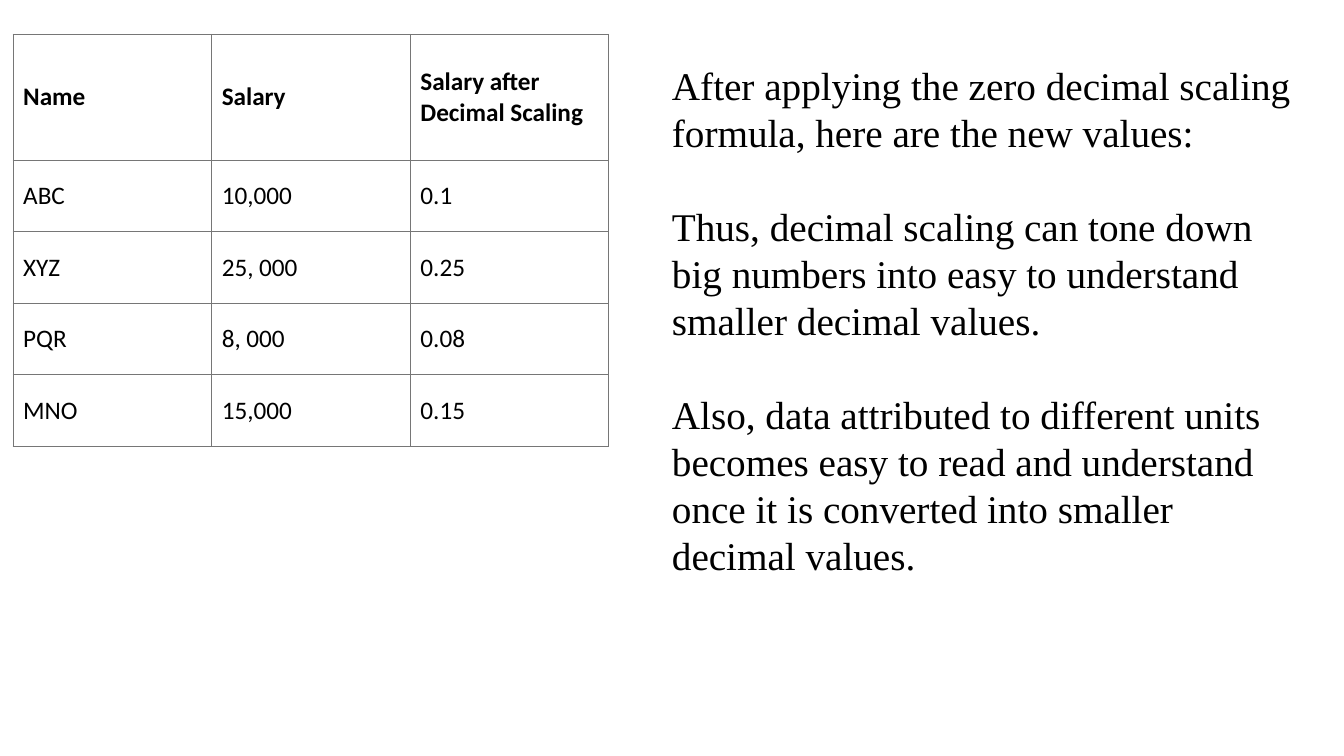
import pptx
import pptx.util
import pptx.dml.color
import pptx.enum.text
import pptx.oxml
import pptx.oxml.ns

ROWS = [
    ("Name", "Salary", "Salary after Decimal Scaling"),
    ("ABC", "10,000", "0.1"),
    ("XYZ", "25, 000", "0.25"),
    ("PQR", "8, 000", "0.08"),
    ("MNO", "15,000", "0.15"),
]
NOTES = [
    "After applying the zero decimal scaling formula, here are the new values:",
    "Thus, decimal scaling can tone down big numbers into easy to understand "
    "smaller decimal values.",
    "Also, data attributed to different units becomes easy to read and "
    "understand once it is converted into smaller decimal values.",
]
HUES = {"ink": "000000", "page": "FFFFFF", "rule": "767676"}
Inches, Pt = pptx.util.Inches, pptx.util.Pt
WIDE, HIGH = 13.33, 7.5
COL, HEAD, ROW = 1.97, 1.25, 0.71
FONTS = {
    "head": {"name": "Calibri", "size": Pt(18), "bold": True},
    "body": {"name": "Calibri", "size": Pt(18), "bold": False},
    "note": {"name": "Times New Roman", "size": Pt(28)},
}
LINE = Pt(33.6)


def tint(hue):
    return pptx.dml.color.RGBColor.from_string(HUES[hue])


def style(font, kind):
    for key, value in FONTS[kind].items():
        setattr(font, key, value)
    font.color.rgb = tint("ink")


def frame(cell):
    props = cell._tc.get_or_add_tcPr()
    for side in "LRTB":
        props.append(pptx.oxml.parse_xml(
            f'<a:ln{side} {pptx.oxml.ns.nsdecls("a")} w="{Pt(0.75)}"><a:solidFill>'
            f'<a:srgbClr val="{HUES["rule"]}"/></a:solidFill></a:ln{side}>'))


deck = pptx.Presentation()
deck.slide_width, deck.slide_height = Inches(WIDE), Inches(HIGH)
slide = deck.slides.add_slide(deck.slide_layouts[6])
middle = pptx.enum.text.MSO_ANCHOR.MIDDLE

# Salary table
cols = len(ROWS[0])
tall = HEAD + ROW * (len(ROWS) - 1)
grid = slide.shapes.add_table(len(ROWS), cols, Inches(0.13), Inches(0.34),
                              Inches(COL * cols), Inches(tall)).table
for col in grid.columns:
    col.width = Inches(COL)
for r, row in enumerate(ROWS):
    grid.rows[r].height = Inches(ROW if r else HEAD)
    for c, text in enumerate(row):
        cell = grid.cell(r, c)
        cell.text = text
        cell.vertical_anchor = middle
        style(cell.text_frame.paragraphs[0].runs[0].font, "body" if r else "head")
        frame(cell)
        cell.fill.solid()
        cell.fill.fore_color.rgb = tint("page")

# Notes on the right half
box = slide.shapes.add_textbox(Inches(WIDE / 2), Inches(0.58),
                               Inches(6.16), Inches(5.18)).text_frame
looks = {"word_wrap": True, "vertical_anchor": middle, "margin_left": 0,
         "margin_right": 0, "margin_top": 0, "margin_bottom": 0,
         "auto_size": pptx.enum.text.MSO_AUTO_SIZE.SHAPE_TO_FIT_TEXT}
for key, value in looks.items():
    setattr(box, key, value)
for n, text in enumerate(NOTES):
    para = box.add_paragraph() if n else box.paragraphs[0]
    para.line_spacing = LINE
    if n:
        para.space_before = LINE
    run = para.add_run()
    run.text = text
    style(run.font, "note")

deck.save("out.pptx")
